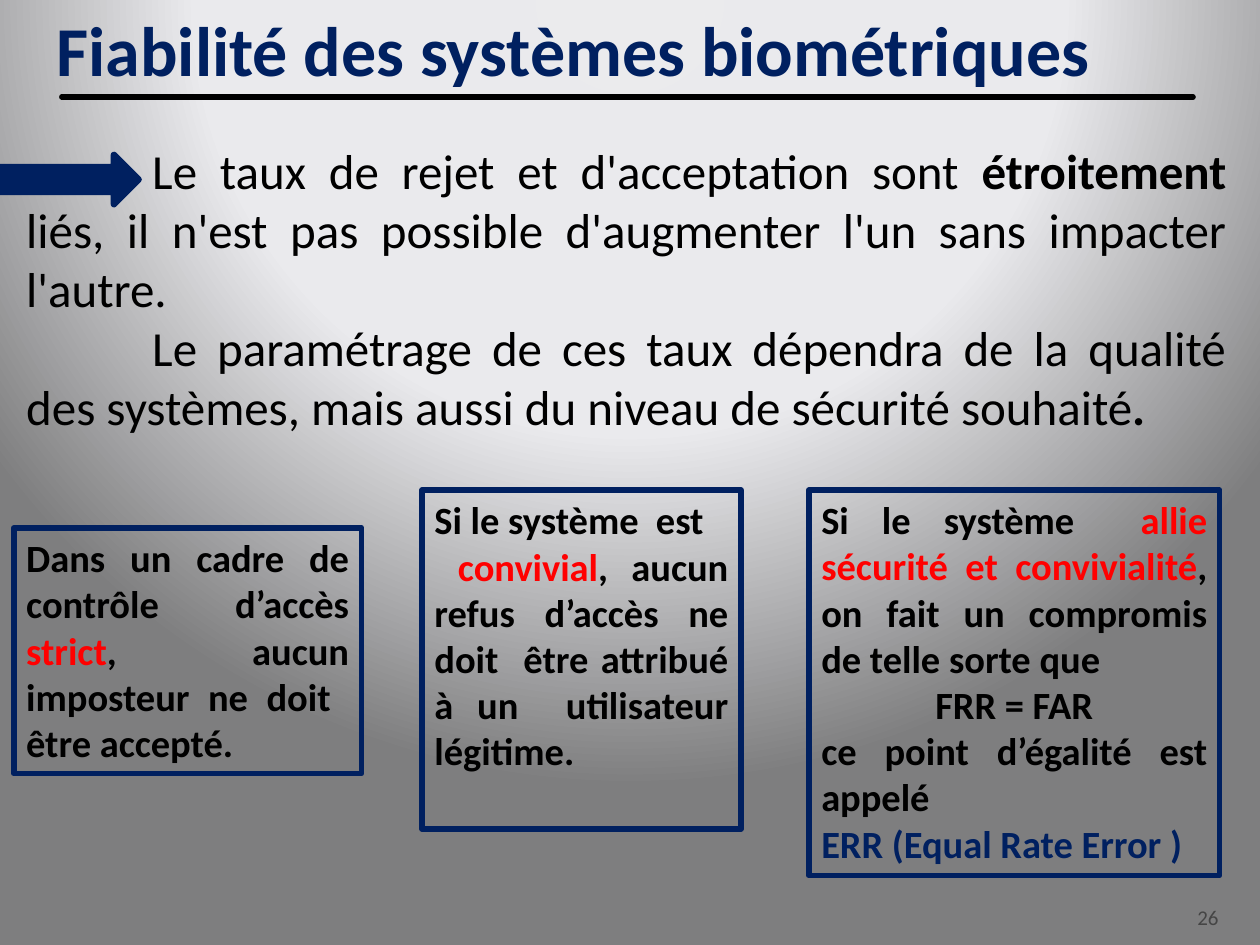
from dataclasses import dataclass

from pptx import Presentation
from pptx.dml.color import RGBColor
from pptx.enum.shapes import MSO_CONNECTOR, MSO_SHAPE
from pptx.enum.text import MSO_ANCHOR, MSO_AUTO_SIZE, PP_ALIGN
from pptx.oxml import parse_xml
from pptx.oxml.ns import nsdecls, qn
from pptx.oxml.xmlchemy import OxmlElement
from pptx.util import Inches, Pt

NAVY = RGBColor(0x00, 0x20, 0x60)
RED = RGBColor(0xFF, 0x00, 0x00)
BLACK = RGBColor(0x00, 0x00, 0x00)
GREY = RGBColor(0x45, 0x45, 0x45)
STOPS = [(0, "EBEBED"), (12, "EBEBED"), (55, "EAEAED"), (100, "7E7E7F")]
FOCUS = {"l": 10, "t": -25, "r": 10, "b": 125}

FRAME = {"word_wrap": True, "auto_size": MSO_AUTO_SIZE.NONE,
         "vertical_anchor": MSO_ANCHOR.TOP}
TITLE_FONT = {"name": "Calibri", "size": Pt(40), "bold": True}
BODY_FONT = {"name": "Calibri", "size": Pt(28), "bold": False}
CASE_FONT = {"name": "Calibri", "size": Pt(22), "bold": True}
NUMBER_FONT = {"name": "Calibri", "size": Pt(12), "bold": False}


@dataclass
class Span:
    text: str
    color: RGBColor = BLACK
    bold: bool | None = None


@dataclass
class Para:
    spans: list[Span]
    align: PP_ALIGN = PP_ALIGN.JUSTIFY
    indent: float = 0


@dataclass
class Case:
    box: tuple[float, float, float, float]
    paras: list[Para]


BODY = [
    Para([Span("Le taux de rejet et d'acceptation sont "),
          Span("étroitement ", bold=True),
          Span("liés, il n'est pas possible d'augmenter l'un sans impacter l'autre.")],
         indent=1),
    Para([Span("Le paramétrage de ces taux dépendra de la qualité des systèmes, "
               "mais aussi du niveau de sécurité souhaité"),
          Span(".", bold=True)],
         indent=1),
]

CASES = [
    Case((0.11, 4.19, 2.76, 1.95), [
        Para([Span("Dans un cadre de contrôle d’accès "), Span("strict", RED),
              Span(", aucun imposteur ne doit  être accepté.")]),
    ]),
    Case((3.35, 3.89, 2.53, 2.69), [
        Para([Span("Si le système  est")]),
        Para([Span(" "), Span("convivial", RED),
              Span(", aucun refus d’accès ne doit  être attribué à un  "
                   "utilisateur légitime.")]),
    ]),
    Case((6.42, 3.89, 3.26, 3.06), [
        Para([Span("Si le système  "), Span("allie sécurité et convivialité", RED),
              Span(", on fait un compromis de telle sorte que")]),
        Para([Span("FRR = FAR")], PP_ALIGN.CENTER),
        Para([Span("ce point d’égalité est appelé ")]),
        Para([Span("ERR (Equal Rate Error )", NAVY)]),
    ]),
]


def apply(target, values: dict) -> None:
    for name, value in values.items():
        setattr(target, name, value)


def write(sp, paras: list[Para], font: dict, frame: dict = FRAME) -> None:
    tf = sp.text_frame
    apply(tf, frame)
    for i, para in enumerate(paras):
        p = tf.add_paragraph() if i else tf.paragraphs[0]
        p.alignment = para.align
        if para.indent:
            pPr = p._p.get_or_add_pPr()
            pPr.set("marL", "0")
            pPr.set("indent", str(Inches(para.indent)))
        for span in para.spans:
            r = p.add_run()
            r.text = span.text
            apply(r.font, font)
            r.font.color.rgb = span.color
            if span.bold is not None:
                r.font.bold = span.bold


def set_line(sp, color: RGBColor, width: float) -> None:
    sp.line.color.rgb = color
    sp.line.width = Pt(width)
    ln = sp.line._get_or_add_ln()
    ln.set("cap", "rnd")
    ln.append(OxmlElement("a:round"))


def set_background(s) -> None:
    s.background.fill.gradient()
    grad = s.element.find(".//" + qn("a:gradFill"))
    stops = "".join(f'<a:gs pos="{pos * 1000}"><a:srgbClr val="{color}"/></a:gs>'
                    for pos, color in STOPS)
    focus = " ".join(f'{side}="{pct * 1000}"' for side, pct in FOCUS.items())
    new = parse_xml(f'<a:gradFill {nsdecls("a")} rotWithShape="1"><a:gsLst>{stops}</a:gsLst>'
                    f'<a:path path="circle"><a:fillToRect {focus}/></a:path></a:gradFill>')
    grad.getparent().replace(grad, new)


def add_rule(s, x1: float, x2: float, y: float) -> None:
    cx = s.shapes.add_connector(MSO_CONNECTOR.STRAIGHT, Inches(x1), Inches(y),
                                Inches(x2), Inches(y))
    set_line(cx, BLACK, 3)
    cx._element.spPr.append(OxmlElement("a:effectLst"))


def add_arrow(s, box: tuple[float, float, float, float]) -> None:
    sp = s.shapes.add_shape(MSO_SHAPE.RIGHT_ARROW, *map(Inches, box))
    sp.shadow.inherit = False
    sp.fill.solid()
    sp.fill.fore_color.rgb = NAVY
    set_line(sp, NAVY, 3.78)


def add_case(s, case: Case) -> None:
    sp = s.shapes.add_shape(MSO_SHAPE.RECTANGLE, *map(Inches, case.box))
    sp.shadow.inherit = False
    sp.fill.background()
    set_line(sp, NAVY, 3.25)
    write(sp, case.paras, CASE_FONT)


def add_text(s, box: tuple[float, float, float, float], paras: list[Para],
             font: dict, frame: dict = FRAME) -> None:
    write(s.shapes.add_textbox(*map(Inches, box)), paras, font, frame)


def main() -> None:
    prs = Presentation()
    apply(prs, {"slide_width": Inches(10), "slide_height": Inches(7.5)})
    s = prs.slides.add_slide(prs.slide_layouts[5])
    set_background(s)

    title = s.shapes.title
    apply(title, {"left": Inches(0.35), "top": Inches(0),
                  "width": Inches(9.49), "height": Inches(0.77)})
    write(title, [Para([Span("Fiabilité des systèmes biométriques", NAVY)], PP_ALIGN.LEFT)],
          TITLE_FONT)

    add_rule(s, 0.49, 9.47, 0.77)
    add_text(s, (0.11, 1.07, 9.72, 2.46), BODY, BODY_FONT)
    add_arrow(s, (0, 1.23, 1.1, 0.39))
    for case in CASES:
        add_case(s, case)
    add_text(s, (8.97, 7.08, 0.8, 0.3), [Para([Span("26", GREY)], PP_ALIGN.RIGHT)],
             NUMBER_FONT,
             FRAME | {"vertical_anchor": MSO_ANCHOR.BOTTOM, "margin_bottom": 0})
    prs.save("out.pptx")


if __name__ == "__main__":
    main()
